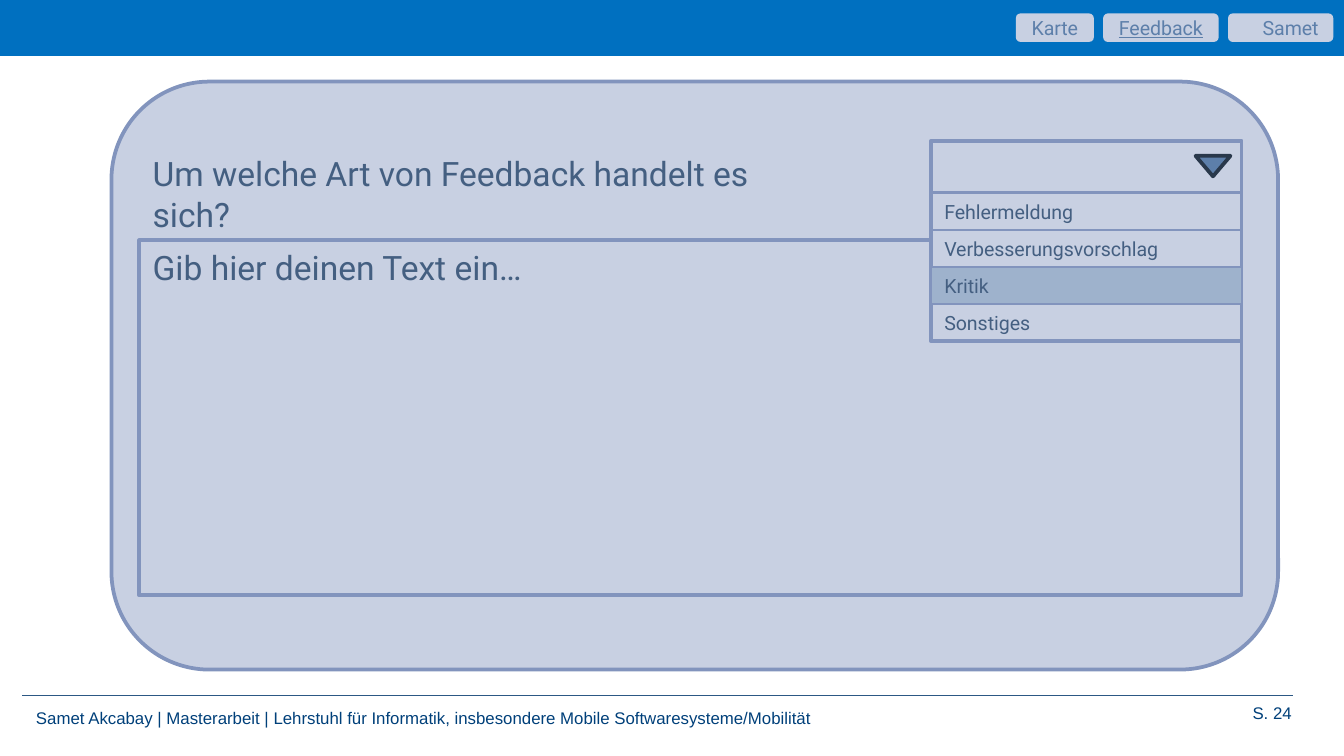
from lxml.etree import SubElement as Sub
from pptx import Presentation
from pptx.dml.color import RGBColor as Rgb
from pptx.enum.shapes import MSO_CONNECTOR as Link, MSO_SHAPE as Kind
from pptx.enum.text import MSO_ANCHOR as Anchor, PP_ALIGN as Align
from pptx.oxml.ns import qn
from pptx.util import Pt

HUES = {
    "bar": "0070C0",
    "pale": "C8D0E2",
    "edge": "8294BD",
    "pick": "9EB2CC",
    "tab": "5D7FAA",
    "ink": "445F81",
    "dark": "29384B",
    "foot": "00407A",
    "rule": "2C5884",
}


def hue(name):
    return Rgb.from_string(HUES[name])


def write(shape, text, size, color, font="Roboto", align=Align.LEFT,
          anchor=Anchor.TOP, under=None):
    frame = shape.text_frame
    frame.word_wrap = True
    frame.vertical_anchor = anchor
    para = frame.paragraphs[0]
    para.alignment = align
    run = para.add_run()
    run.text = text
    run.font.name = font
    run.font.size = Pt(size)
    run.font.color.rgb = hue(color)
    run.font.underline = under


def add_box(slide, kind, x, y, w, h, fill="pale", edge=None, width=2):
    box = slide.shapes.add_shape(kind, Pt(x), Pt(y), Pt(w), Pt(h))
    box.shadow.inherit = False
    if fill:
        box.fill.solid()
        box.fill.fore_color.rgb = hue(fill)
    else:
        box.fill.background()
    if edge:
        box.line.color.rgb = hue(edge)
        box.line.width = Pt(width)
    else:
        box.line.fill.background()
    return box


def add_text(slide, x, y, w, h, text, size, color, **style):
    box = slide.shapes.add_textbox(Pt(x), Pt(y), Pt(w), Pt(h))
    write(box, text, size, color, **style)


def add_rule(slide, x, y, end):
    line = slide.shapes.add_connector(Link.STRAIGHT, Pt(x), Pt(y), Pt(end), Pt(y))
    line.line.color.rgb = hue("rule")
    line.line.width = Pt(0.75)
    Sub(line._element.spPr, qn("a:effectLst"))


def add_foot(slide):
    add_text(slide, 12.2, 375.8, 529.2, 13.7,
             "Samet Akcabay | Masterarbeit | Lehrstuhl für Informatik, "
             "insbesondere Mobile Softwaresysteme/Mobilität",
             9, "foot", font="Arial")
    add_rule(slide, 12, 372.7, 692.6)
    add_text(slide, 614.9, 373, 84.2, 18, "S. 24", 9, "foot",
             font="Arial", align=Align.RIGHT)


def add_tabs(slide):
    add_box(slide, Kind.RECTANGLE, 0, 0, 720, 30, "bar")
    tabs = [
        ("Karte", 41.8, Align.CENTER, None),
        ("Feedback", 61.9, Align.CENTER, True),
        ("Samet", 56.4, Align.RIGHT, None),
    ]
    left, gap = 544.2, 5
    for text, wide, align, under in tabs:
        tab = add_box(slide, Kind.ROUNDED_RECTANGLE, left, 7.2, wide, 15.3)
        write(tab, text, 10.5, "tab", align=align, anchor=Anchor.MIDDLE,
              under=under)
        left += wide + gap


def add_form(slide):
    add_box(slide, Kind.ROUNDED_RECTANGLE, 59.7, 43.7, 625, 315, edge="edge")
    add_box(slide, Kind.RECTANGLE, 74.7, 128.7, 590.5, 190.3, edge="edge")
    add_text(slide, 74.7, 128.7, 268.6, 29, "Gib hier deinen Text ein…", 18, "ink")
    add_text(slide, 74.7, 78.5, 367.2, 51,
             "Um welche Art von Feedback handelt es sich?", 18, "ink")


def add_menu(slide):
    left, top, wide, step = 498.8, 103.4, 166.4, 19.8
    items = ["Fehlermeldung", "Verbesserungsvorschlag", "Kritik", "Sonstiges"]
    add_box(slide, Kind.RECTANGLE, left, 75.4, wide, 27.7, edge="edge")
    add_box(slide, Kind.RECTANGLE, left, 103.1, wide, 79.8, edge="edge")
    for i, text in enumerate(items):
        fill = "pick" if text == "Kritik" else None
        row = add_box(slide, Kind.RECTANGLE, left, top + i * step, wide, 20,
                      fill, "edge", 0.75)
        write(row, text, 10.5, "ink")
    add_box(slide, Kind.FLOWCHART_MERGE, 640.5, 83.5, 18.7, 11, "tab", "dark")


def main():
    deck = Presentation()
    deck.slide_width, deck.slide_height = Pt(720), Pt(405)
    slide = deck.slides.add_slide(deck.slide_layouts[6])
    add_foot(slide)
    add_tabs(slide)
    add_form(slide)
    add_menu(slide)
    deck.save("out.pptx")


if __name__ == "__main__":
    main()
